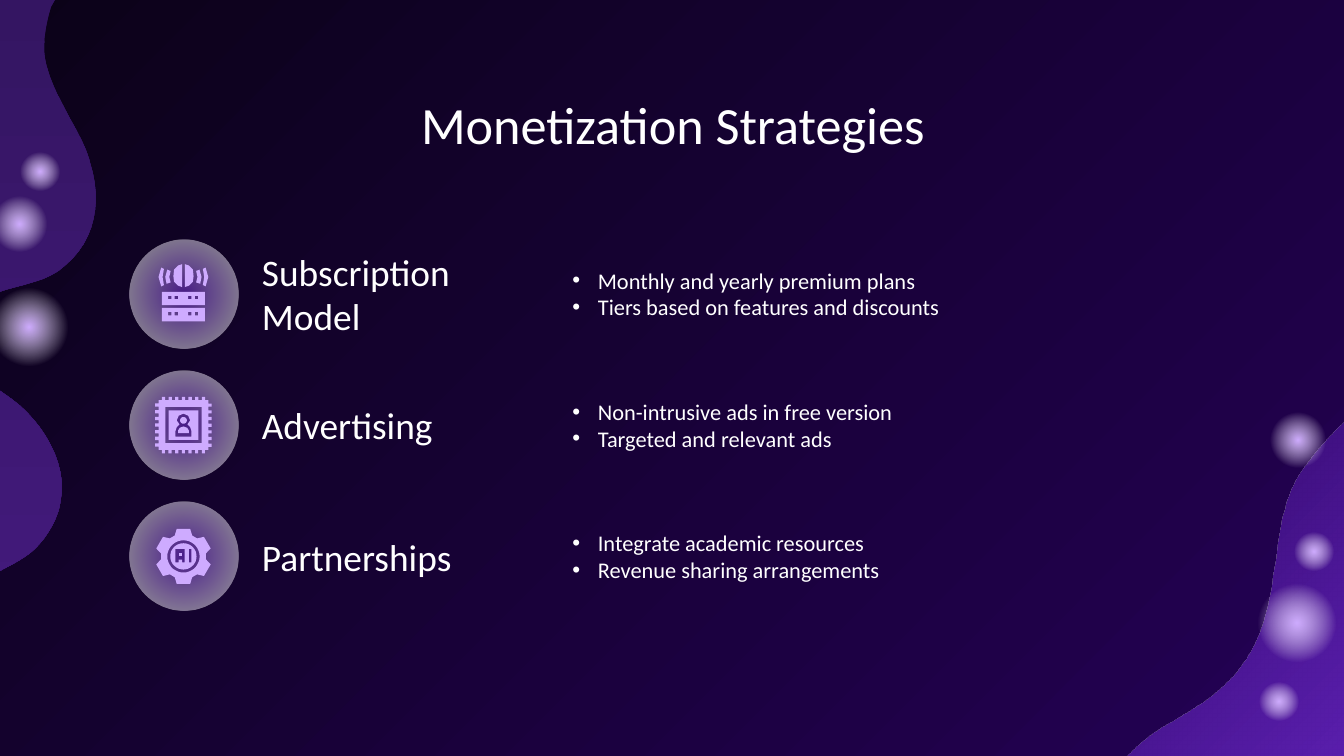
from math import cos, pi, sin

from lxml import etree
from pptx import Presentation
from pptx.dml.color import RGBColor
from pptx.enum.shapes import MSO_SHAPE
from pptx.enum.text import MSO_ANCHOR, PP_ALIGN
from pptx.oxml.ns import qn
from pptx.util import Cm, Pt

OVAL = MSO_SHAPE.OVAL
TOP, MIDDLE = MSO_ANCHOR.TOP, MSO_ANCHOR.MIDDLE
LEFT, CENTER = PP_ALIGN.LEFT, PP_ALIGN.CENTER
COLORS = {
    "night": "0B0218", "indigo": "240155", "violet": "8134EC",
    "plum": "331560", "grape": "4A1C8A", "lilac": "CEABFF", "white": "FFFFFF",
}
FONT = "Calibri"
GRID = Cm(0.0254)
FINE = 8


def set_gradient(fill, element, stops, angle=None):
    fill.gradient()
    gradient = next(element.iter(qn("a:gradFill")))
    for child in list(gradient):
        gradient.remove(child)
    stop_list = etree.SubElement(gradient, qn("a:gsLst"))
    for position, color, alpha in stops:
        stop = etree.SubElement(stop_list, qn("a:gs"), pos=str(position * 1000))
        tint = etree.SubElement(stop, qn("a:srgbClr"), val=COLORS[color])
        if alpha < 100:
            etree.SubElement(tint, qn("a:alpha"), val=str(alpha * 1000))
    if angle is None:
        radial = etree.SubElement(gradient, qn("a:path"), path="circle")
        etree.SubElement(radial, qn("a:fillToRect"), l="50000", t="50000", r="50000", b="50000")
    else:
        etree.SubElement(gradient, qn("a:lin"), ang=str(angle * 60000), scaled="0")


def add_outline(contours, center=(0, 0)):
    scaled = [[((x + center[0]) * FINE, (y + center[1]) * FINE) for x, y in contour]
              for contour in contours]
    builder = slide.shapes.build_freeform(*scaled[0][0], scale=GRID / FINE)
    builder.add_line_segments(scaled[0][1:], close=True)
    for contour in scaled[1:]:
        builder.move_to(*contour[0])
        builder.add_line_segments(contour[1:], close=True)
    outline = builder.convert_to_shape()
    outline.shadow.inherit = False
    outline.line.fill.background()
    outline.fill.solid()
    outline.fill.fore_color.rgb = RGBColor.from_string(COLORS["lilac"])
    return outline


prs = Presentation()
prs.slide_width, prs.slide_height = Cm(25.4), Cm(14.28)
slide = prs.slides.add_slide(prs.slide_layouts[6])
set_gradient(slide.background.fill, slide.element,
             [(0, "night", 100), (100, "indigo", 100)], 45)

left_wave = [
    (38, 5), (35, 15), (32, 29), (33, 40), (35, 57), (44, 73), (52, 88),
    (58, 99), (64, 109), (67, 121), (76, 150), (71, 178), (49, 197),
    (28, 217), (-6, 209), (-26, 234), (-48, 262), (-10, 283), (9, 297),
    (31, 313), (51, 345), (45, 373), (43, 387), (34, 401), (24, 410),
    (12, 420), (-2, 424), (-13, 433), (-24, 441), (-36, 455), (-37, 470),
    (-39, 485), (-34, 501), (-32, 516), (-22, 578), (-39, 646), (-85, 686),
    (-91, 691), (-100, 698), (-107, 700),
]
right_wave = [
    (1049, 445), (1049, 417), (1047, 389), (1047, 361), (1047, 347),
    (1053, 306), (1037, 298), (1018, 289), (982, 332), (973, 344),
    (955, 367), (953, 390), (949, 417), (945, 446), (941, 472), (923, 496),
    (908, 516), (886, 528), (864, 541), (843, 554), (826, 574), (814, 597),
    (804, 617), (792, 645), (791, 667),
]
waves = [
    (left_wave, [(-304, 63), (64, -40)], [(0, "plum", 100), (100, "grape", 100)], 90),
    (right_wave, [(883, 674), (1040, 674)], [(0, "violet", 70), (100, "indigo", 100)], 225),
]
for controls, corners, stops, angle in waves:
    curve = [controls[0]]
    for start in range(0, len(controls) - 1, 3):
        a, b, c, d = controls[start:start + 4]
        for step in range(1, 13):
            t = step / 12
            u = 1 - t
            curve.append(tuple(
                u**3 * a[k] + 3 * u * u * t * b[k] + 3 * u * t * t * c[k] + t**3 * d[k]
                for k in (0, 1)))
    wave = add_outline([curve + corners])
    set_gradient(wave.fill, wave.element, stops, angle)

glow_stops = [(0, "lilac", 100), (57, "white", 0), (100, "white", 0)]
badge_stops = [(0, "violet", 49), (77, "white", 49), (100, "white", 49)]
FIRST_ROW, ROW_PITCH, BADGE = 4.52, 2.48, 2.06
discs = [
    (23.6, 10.85, 1.83, glow_stops), (24.38, 9.96, 0.91, glow_stops),
    (23.72, 12.8, 0.91, glow_stops), (23.88, 7.67, 1.3, glow_stops),
    (-0.28, 3.58, 1.3, glow_stops), (-0.36, 5.26, 1.83, glow_stops),
    (0.3, 2.79, 0.91, glow_stops),
] + [(2.44, FIRST_ROW + ROW_PITCH * row, BADGE, badge_stops) for row in range(3)]
for left, top, size, stops in discs:
    disc = slide.shapes.add_shape(OVAL, Cm(left), Cm(top), Cm(size), Cm(size))
    disc.shadow.inherit = False
    disc.line.fill.background()
    set_gradient(disc.fill, disc.element, stops)

strategies = [
    ("Subscription\nModel", "Monthly and yearly premium plans\nTiers based on features and discounts"),
    ("Advertising", "Non-intrusive ads in free version\nTargeted and relevant ads"),
    ("Partnerships", "Integrate academic resources\nRevenue sharing arrangements"),
]
texts = [("Monetization Strategies", 2.01, 1.5, 21.41, 1.6, 28, CENTER, TOP, False)]
for row, (strategy, details) in enumerate(strategies):
    top = FIRST_ROW + 0.15 + ROW_PITCH * row
    texts.append((strategy, 4.7, top, 5.9, 1.75, 20, LEFT, MIDDLE, False))
    texts.append((details, 10.57, top, 12.34, 1.75, 12, LEFT, MIDDLE, True))
for wording, left, top, width, height, size, align, anchor, bulleted in texts:
    frame = slide.shapes.add_textbox(Cm(left), Cm(top), Cm(width), Cm(height)).text_frame
    frame.word_wrap = True
    frame.vertical_anchor = anchor
    frame.margin_left = frame.margin_right = frame.margin_top = frame.margin_bottom = Cm(0.25)
    frame.text = wording
    for paragraph in frame.paragraphs:
        paragraph.alignment = align
        font = paragraph.runs[0].font
        font.name, font.size = FONT, Pt(size)
        font.color.rgb = RGBColor.from_string(COLORS["white"])
        if bulleted:
            properties = paragraph._p.get_or_add_pPr()
            properties.set("marL", str(Cm(0.48)))
            properties.set("indent", str(Cm(-0.48)))
            etree.SubElement(properties, qn("a:buFont"), typeface="Arial")
            etree.SubElement(properties, qn("a:buChar"), char="•")

server, chip, gear = [
    (136.5, (FIRST_ROW + BADGE / 2 + ROW_PITCH * row) / 2.54 * 100) for row in range(3)]
unit_circle = [(cos(pi * k / 18), sin(pi * k / 18)) for k in range(36)]

half_globe = [(1, -5), (1, -22), (4, -21), (7, -18), (7.5, -13), (7, -9), (4, -6)]
inner_signal = [(9.5, -8.5), (10.5, -12.5), (9.5, -17), (12, -18), (13.5, -12.5), (12.5, -7.5)]
outer_signal = [(14.5, -6.5), (15.5, -12.5), (14.5, -18.5), (16.5, -19.5), (18.5, -12.5), (16.5, -5.5)]
for side in (-1, 1):
    for part in (half_globe, inner_signal, outer_signal):
        add_outline([[(side * x, y) for x, y in part]], server)
for top in (-1.5, 10.5):
    unit = [(-16, top), (16, top), (16, top + 10), (-16, top + 10)]
    lights = [[(x, top + 3), (x + 2.5, top + 3), (x + 2.5, top + 5.5), (x, top + 5.5)]
              for x in (-11.5, -6.5, 3.5, 8.5)]
    add_outline([unit] + lights, server)

square = [(-1, -1), (1, -1), (1, 1), (-1, 1)]
chip_side = [(-18.5, -18.5)]
for pin in range(7):
    x = -16 + 4.95 * pin
    chip_side += [(x, -18.5), (x, -21), (x + 2.4, -21), (x + 2.4, -18.5)]
chip_edge = []
for turn in range(4):
    chip_edge += chip_side
    chip_side = [(-y, x) for x, y in chip_side]
person_edge = [
    (6, 8.5), (6, 4.5), (5, 1.5), (3, -0.5), (5, -3.5), (3.5, -7), (0, -8.5),
    (-3.5, -7), (-5, -3.5), (-3, -0.5), (-5, 1.5), (-6, 4.5), (-6, 8.5),
]
add_outline([chip_edge, [(13.5 * x, 13.5 * y) for x, y in square]], chip)
add_outline([[(11 * x, 11 * y) for x, y in square], person_edge], chip)
add_outline([[(2.5 * x, 2.5 * y - 3.5) for x, y in unit_circle]], chip)
add_outline([[(-4, 6), (-4, 4), (-2.8, 2), (0, 1), (2.8, 2), (4, 4), (4, 6)]], chip)

gear_edge = []
for tooth in range(6):
    c, s = cos(pi * tooth / 3), sin(pi * tooth / 3)
    gear_edge += [(x * c - y * s, x * s + y * c)
                  for x, y in [(-6.5, -15.5), (-5, -20.5), (5, -20.5), (6.5, -15.5)]]
letter_a = [(-6, -5.5), (1, -5.5), (1, 4.5), (-1, 4.5), (-1, 2.5), (-3.5, 2.5), (-3.5, 4.5), (-6, 4.5)]
letter_i = [(4, -5.5), (6, -5.5), (6, 4.5), (4, 4.5)]
add_outline([gear_edge, [(12 * x, 12 * y) for x, y in unit_circle]], gear)
add_outline([[(9.8 * x, 9.8 * y) for x, y in unit_circle], letter_a, letter_i], gear)
add_outline([[(1.2 * x - 2.3, y - 1.5) for x, y in square]], gear)

prs.save("out.pptx")
